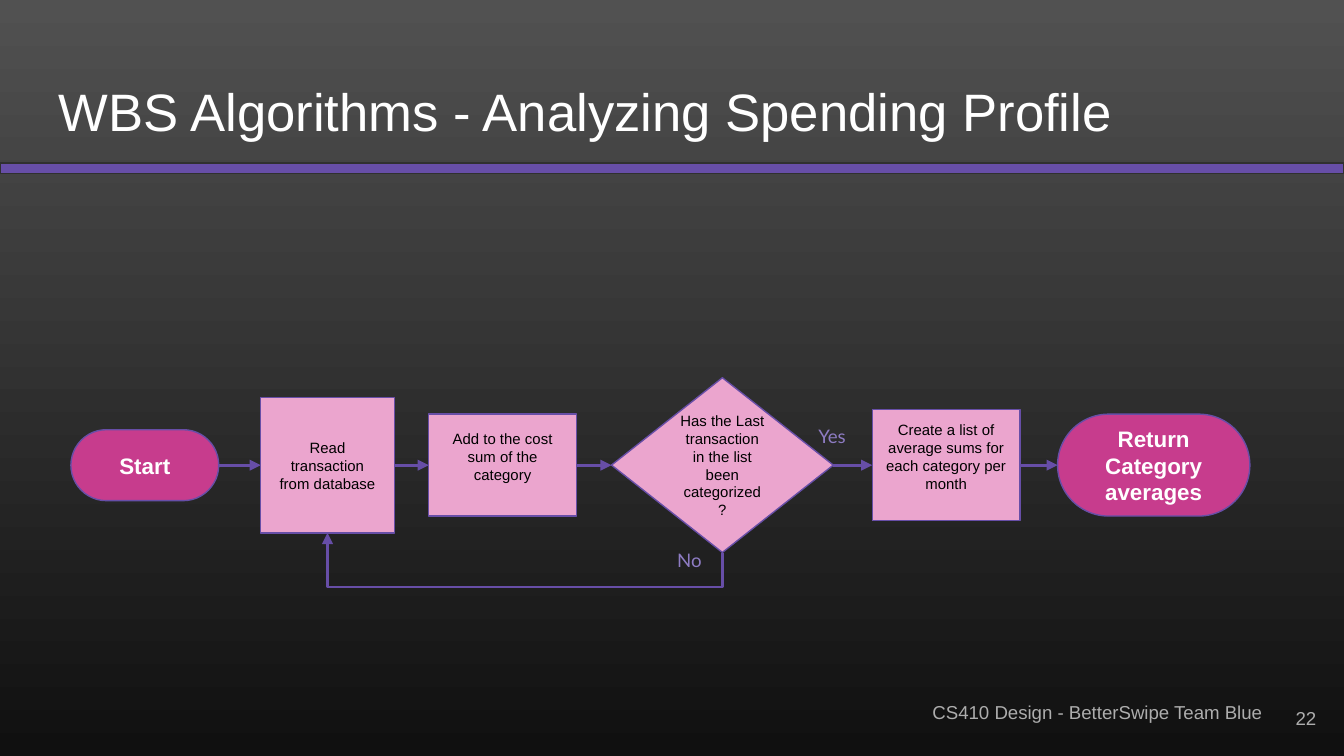
from dataclasses import dataclass

import pptx
import pptx.dml.color
import pptx.enum.shapes
import pptx.enum.text
import pptx.oxml.ns
import pptx.util
from lxml import etree

Pt = pptx.util.Pt
qn = pptx.oxml.ns.qn
SHAPE = pptx.enum.shapes.MSO_SHAPE
CONNECTOR = pptx.enum.shapes.MSO_CONNECTOR
ALIGN = pptx.enum.text.PP_ALIGN
ANCHOR = pptx.enum.text.MSO_ANCHOR

COLORS = {
    "top": "515151", "bottom": "101010", "purple": "674EA7", "edge": "303030",
    "pink": "EBA5CE", "magenta": "C73C8D", "lilac": "8E7CC3",
    "white": "FFFFFF", "black": "000000", "gray": "ADADAD",
}
SLIDE_W, SLIDE_H = 720, 405
INSET = 7.2
FLOW_Y = 249.2  # centre line of the flowchart
LOOP_DROP = 18.5  # depth of the return path below the decision
TOP, LEFT, BOTTOM, RIGHT = range(4)


@dataclass
class Step:
    text: str
    left: float
    width: float
    height: float
    kind: SHAPE = SHAPE.RECTANGLE
    bottom_inset: float = INSET

    @property
    def center_x(self) -> float:
        return self.left + self.width / 2

    @property
    def bottom(self) -> float:
        return FLOW_Y + self.height / 2


@dataclass
class Label:
    text: str
    left: float
    top: float
    width: float
    height: float
    size: float
    color: str
    font: str = "Arial"
    align: ALIGN = ALIGN.LEFT
    anchor: ANCHOR = ANCHOR.TOP


READ = Step("Read transaction from database", 139.7, 71.6, 72.6)
DECISION = Step("Has the Last transaction in the list been categorized?",
                327.6, 118.8, 93.6, SHAPE.FLOWCHART_DECISION)
STEPS = [
    Step("Start", 38, 79.2, 38, SHAPE.ROUNDED_RECTANGLE),
    READ,
    Step("Add to the cost sum of the category", 229.7, 79.2, 54.6, bottom_inset=16.4),
    DECISION,
    Step("Create a list of average sums for each category per month",
         467.3, 79.2, 59.6, bottom_inset=16.4),
    Step("Return Category averages", 566.6, 103, 54.6, SHAPE.ROUNDED_RECTANGLE),
]
LABELS = [
    Label("WBS Algorithms - Analyzing Spending Profile", 24.5, 35.3, 671, 49, 28.2, "white"),
    Label("CS410 Design - BetterSwipe Team Blue", 492.5, 369.4, 200, 26.6, 10, "gray"),
    Label("22", 669, 369.4, 43.2, 31, 10, "gray", align=ALIGN.RIGHT, anchor=ANCHOR.MIDDLE),
    Label("Yes", 431.3, 221.8, 52.6, 26.6, 10, "lilac", "Lato"),
    Label("No", 355.7, 288, 52.6, 26.6, 10, "lilac", "Lato"),
]


def rgb(name: str) -> pptx.dml.color.RGBColor:
    return pptx.dml.color.RGBColor.from_string(COLORS[name])


def write(sp, text: str, size: float, color: str, font: str = "Arial", bold: bool = False,
          align=ALIGN.CENTER, anchor=ANCHOR.MIDDLE, bottom_inset: float = INSET) -> None:
    tf = sp.text_frame
    tf.text = text
    tf.word_wrap = True
    tf.vertical_anchor = anchor
    tf.margin_left = tf.margin_right = tf.margin_top = Pt(INSET)
    tf.margin_bottom = Pt(bottom_inset)
    p = tf.paragraphs[0]
    p.alignment = align
    r = p.runs[0]
    r.font.size, r.font.name, r.font.bold = Pt(size), font, bold
    r.font.color.rgb = rgb(color)


def add_box(s, kind, left: float, top: float, width: float, height: float,
            fill: str, line: str):
    sp = s.shapes.add_shape(kind, Pt(left), Pt(top), Pt(width), Pt(height))
    sp.shadow.inherit = False
    sp.fill.solid()
    sp.fill.fore_color.rgb = rgb(fill)
    sp.line.color.rgb = rgb(line)
    sp.line.width = Pt(0.75)
    return sp


def add_step(s, step: Step):
    terminal = step.kind == SHAPE.ROUNDED_RECTANGLE
    sp = add_box(s, step.kind, step.left, FLOW_Y - step.height / 2, step.width,
                 step.height, "magenta" if terminal else "pink", "purple")
    if terminal:
        sp.adjustments[0] = 0.5
    write(sp, step.text, 12 if terminal else 8, "white" if terminal else "black",
          bold=terminal, bottom_inset=step.bottom_inset)
    return sp


def add_label(s, label: Label) -> None:
    sp = s.shapes.add_textbox(Pt(label.left), Pt(label.top), Pt(label.width), Pt(label.height))
    write(sp, label.text, label.size, label.color, label.font,
          align=label.align, anchor=label.anchor)


def add_arrow(s, kind, start, start_side: int, end, end_side: int):
    cxn = s.shapes.add_connector(kind, 0, 0, 0, 0)
    cxn.begin_connect(start, start_side)
    cxn.end_connect(end, end_side)
    cxn.line.color.rgb = rgb("purple")
    cxn.line.width = Pt(1.5)
    etree.SubElement(cxn.line._get_or_add_ln(), qn("a:tailEnd"), type="triangle")
    etree.SubElement(cxn._element.spPr, qn("a:effectLst"))
    return cxn


def add_loop(s, start, end) -> None:
    """Bent arrow from under the decision back to the reading step."""
    cxn = add_arrow(s, CONNECTOR.ELBOW, start, BOTTOM, end, BOTTOM)
    rise = DECISION.bottom - READ.bottom
    span = DECISION.center_x - READ.center_x
    # The frame is given before its quarter turn, so rise is its width
    cxn.left = Pt((DECISION.center_x + READ.center_x - rise) / 2)
    cxn.top = Pt((DECISION.bottom + READ.bottom - span) / 2)
    cxn.width, cxn.height = Pt(rise), Pt(span)
    xfrm = cxn._element.spPr.find(qn("a:xfrm"))
    xfrm.attrib.pop("flipV", None)
    xfrm.set("rot", "5400000")
    xfrm.set("flipH", "1")
    geom = cxn._element.spPr.find(qn("a:prstGeom"))
    guides = geom.find(qn("a:avLst"))
    if guides is None:
        guides = etree.SubElement(geom, qn("a:avLst"))
    etree.SubElement(guides, qn("a:gd"), name="adj1",
                     fmla=f"val {round(-LOOP_DROP / rise * 100000)}")


def main() -> None:
    prs = pptx.Presentation()
    prs.slide_width, prs.slide_height = Pt(SLIDE_W), Pt(SLIDE_H)
    s = prs.slides.add_slide(prs.slide_layouts[6])

    # Background gradient, top to bottom
    fill = s.background.fill
    fill.gradient()
    fill.gradient_angle = 270
    for stop, name in zip(fill.gradient_stops, ("top", "bottom")):
        stop.color.rgb = rgb(name)

    # Rule under the title
    add_box(s, SHAPE.RECTANGLE, 0, 87.4, SLIDE_W, 5.6, "purple", "edge")

    # Flowchart steps and the arrows between neighbours
    shapes = [add_step(s, step) for step in STEPS]
    for start, end in zip(shapes, shapes[1:]):
        add_arrow(s, CONNECTOR.STRAIGHT, start, RIGHT, end, LEFT)
    add_loop(s, shapes[STEPS.index(DECISION)], shapes[STEPS.index(READ)])

    # Title, footer, slide number and branch labels
    for label in LABELS:
        add_label(s, label)

    prs.save("out.pptx")


if __name__ == "__main__":
    main()
